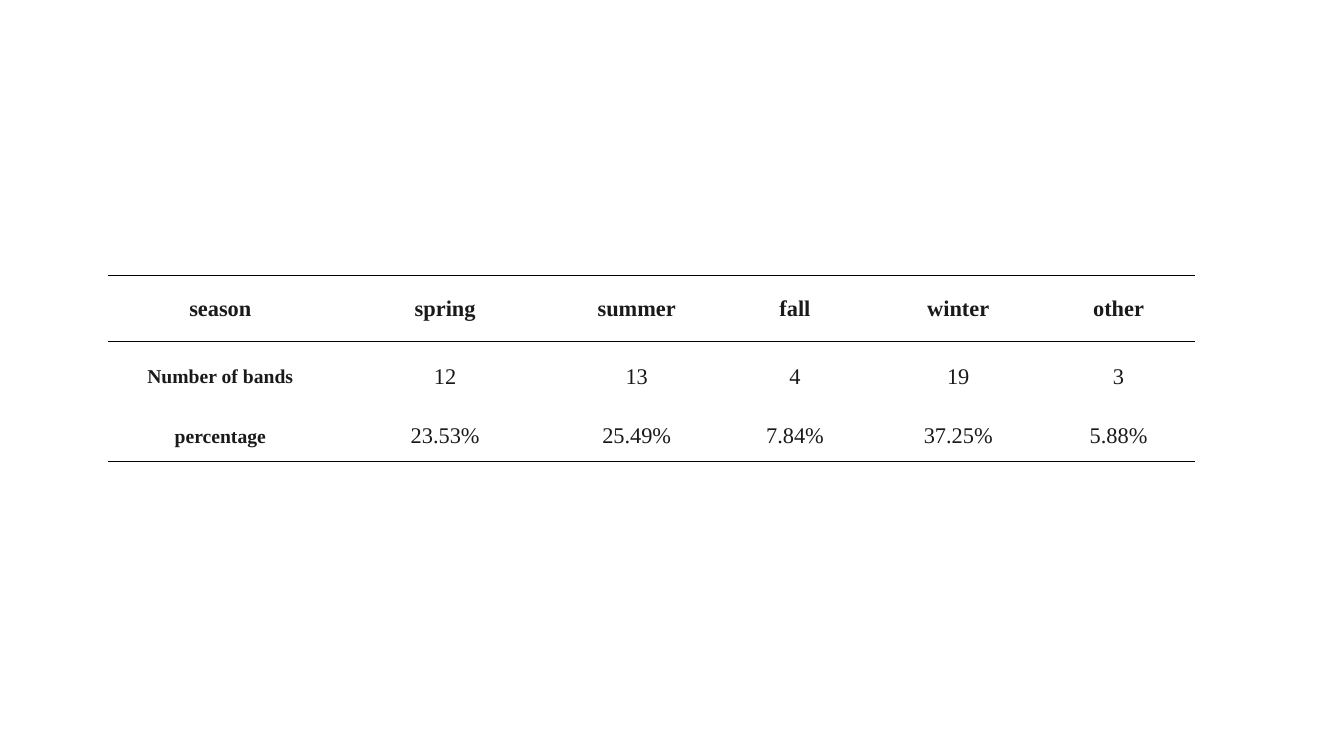
from pptx import Presentation
from pptx.dml.color import RGBColor
from pptx.enum.text import MSO_ANCHOR, PP_ALIGN
from pptx.oxml import parse_xml
from pptx.oxml.ns import nsdecls
from pptx.util import Inches, Pt

ROWS = [
    ("season", "spring", "summer", "fall", "winter", "other"),
    ("Number of bands", "12", "13", "4", "19", "3"),
    ("percentage", "23.53%", "25.49%", "7.84%", "37.25%", "5.88%"),
]
COL_WIDTHS = (2.23, 2.23, 1.57, 1.57, 1.67, 1.51)
ROW_HEIGHTS = (0.66, 0.68, 0.51)
LEFT, TOP = 1.07, 2.73
RULES = {0: ("lnT", "lnB"), 1: ("lnT",), 2: ("lnB",)}
THEME = {
    "font": "Times New Roman",
    "text": RGBColor(0x1A, 0x1A, 0x1A),
    "rule": "000000",
    "rule_width": Pt(1),
    "size": Pt(16),
    "label_size": Pt(14),
}


def set_borders(cell, ruled):
    tcPr = cell._tc.get_or_add_tcPr()
    for i, side in enumerate(("lnL", "lnR", "lnT", "lnB")):
        if side in ruled:
            width = THEME["rule_width"]
            paint = f'<a:solidFill><a:srgbClr val="{THEME["rule"]}"/></a:solidFill>'
        else:
            width, paint = 0, "<a:noFill/>"
        tcPr.insert(i, parse_xml(f'<a:{side} {nsdecls("a")} w="{width}">{paint}</a:{side}>'))


def fill_cell(cell, text, row, col):
    cell.fill.background()
    set_borders(cell, RULES[row])
    cell.vertical_anchor = MSO_ANCHOR.MIDDLE
    cell.margin_left = cell.margin_right = cell.margin_top = Inches(0.01)
    cell.margin_bottom = 0
    p = cell.text_frame.paragraphs[0]
    p.alignment = PP_ALIGN.CENTER
    r = p.add_run()
    r.text = text
    r.font.name = THEME["font"]
    r.font.size = THEME["label_size"] if row and not col else THEME["size"]
    r.font.bold = row == 0 or col == 0
    r.font.color.rgb = THEME["text"]


def main():
    prs = Presentation()
    prs.slide_width, prs.slide_height = Inches(13.33), Inches(7.5)
    s = prs.slides.add_slide(prs.slide_layouts[6])
    table = s.shapes.add_table(
        len(ROWS), len(COL_WIDTHS), Inches(LEFT), Inches(TOP),
        Inches(sum(COL_WIDTHS)), Inches(sum(ROW_HEIGHTS)),
    ).table
    table.first_row = table.horz_banding = False
    for column, width in zip(table.columns, COL_WIDTHS):
        column.width = Inches(width)
    for row, height in zip(table.rows, ROW_HEIGHTS):
        row.height = Inches(height)
    for i, texts in enumerate(ROWS):
        for j, text in enumerate(texts):
            fill_cell(table.cell(i, j), text, i, j)
    prs.save("out.pptx")


if __name__ == "__main__":
    main()
